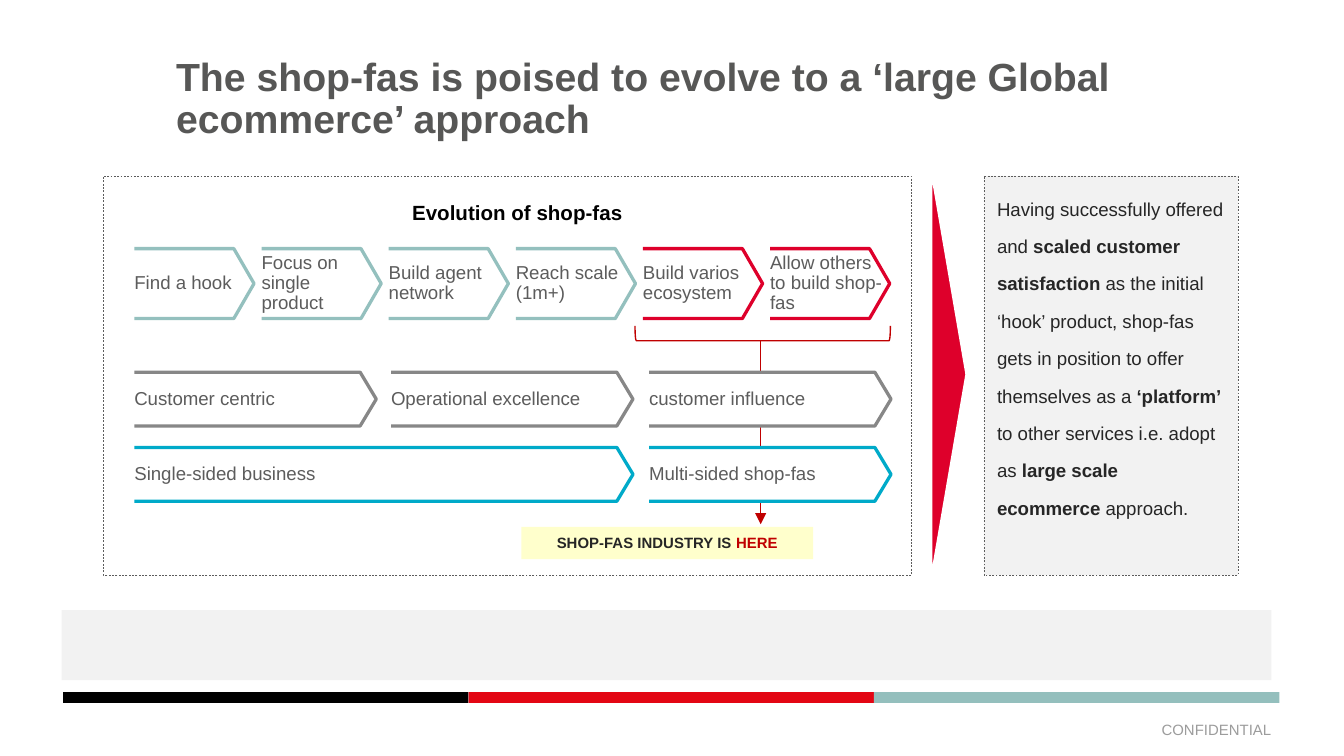
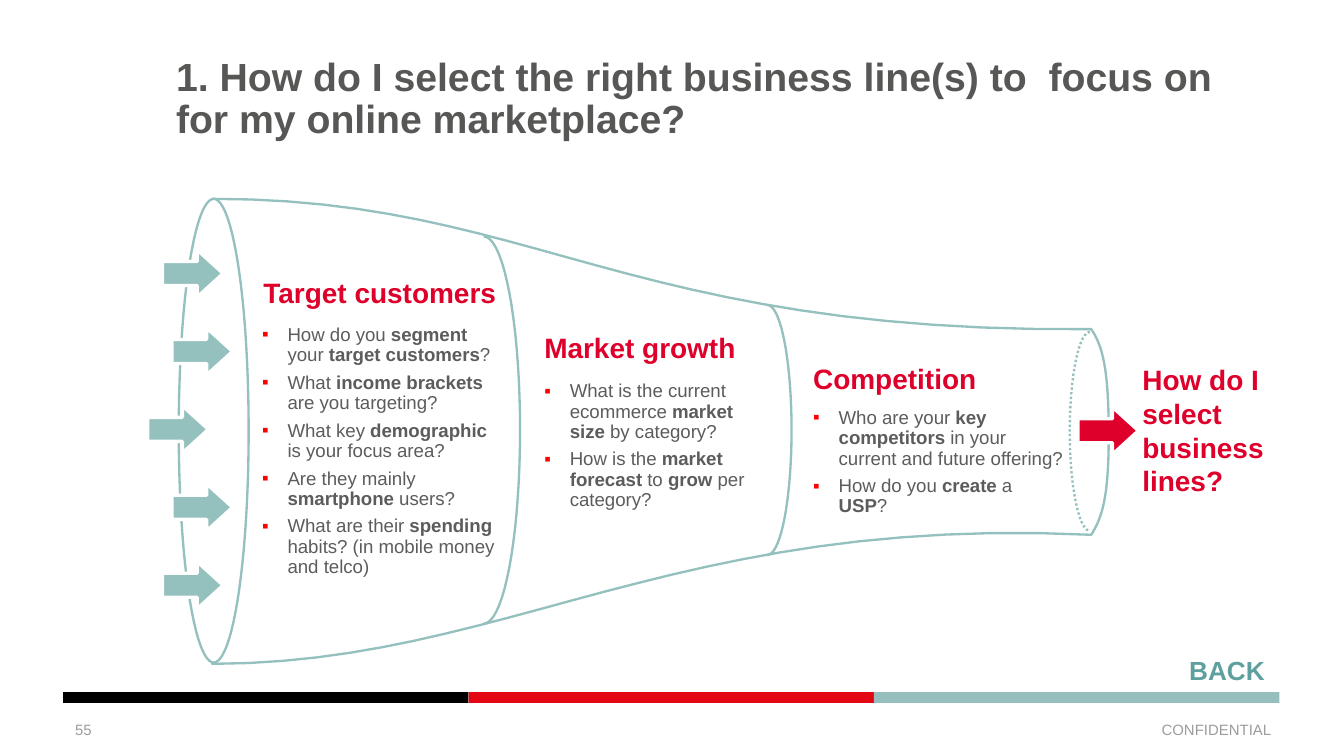
from dataclasses import dataclass, replace
from math import cos, pi, sin
from typing import Optional, Union

from lxml.etree import SubElement
from pptx import Presentation
from pptx.dml.color import RGBColor
from pptx.enum.dml import MSO_LINE
from pptx.enum.shapes import MSO_CONNECTOR, MSO_SHAPE
from pptx.enum.text import MSO_ANCHOR, MSO_AUTO_SIZE, PP_ALIGN
from pptx.oxml.ns import qn
from pptx.util import Inches, Pt

FONT = "Arial"
BLACK, WHITE, PALE = "000000", "FFFFFF", "F2F2F2"
TEAL, RED, GREY, BLUE = "94C0BE", "DE002B", "878787", "00AAC9"
BODY_GREY, DARK, MARK_RED, FOOTER_GREY = "5C5C5C", "262626", "C00000", "9C9C9C"

Point = tuple[float, float]


@dataclass(frozen=True)
class TextStyle:
    size: float
    color: str
    bold: bool = False
    align: PP_ALIGN = PP_ALIGN.LEFT
    spacing: Union[float, Pt] = 1.0
    bulleted: bool = False


@dataclass(frozen=True)
class Box:
    left: float
    top: float
    width: float
    height: float

    def lengths(self) -> tuple:
        return tuple(map(Inches, (self.left, self.top, self.width, self.height)))


@dataclass(frozen=True)
class Stage:
    """An open chevron holding a short label."""
    label: str
    box: Box
    tip: float
    color: str
    fill: Optional[str] = None


@dataclass(frozen=True)
class Topic:
    """A heading with its questions inside the funnel."""
    heading: str
    heading_box: Box
    questions: tuple[str, ...]
    questions_box: Box


TITLE = TextStyle(21, "575756", bold=True, spacing=0.9)
LABEL = TextStyle(10, BODY_GREY, spacing=0.9)
QUESTION = replace(LABEL, bulleted=True)
HEADING = TextStyle(15, RED, bold=True, spacing=0.9)
FOOTER = TextStyle(8, FOOTER_GREY)


def rgb(color: str) -> RGBColor:
    return RGBColor.from_string(color)


def paint(shape, fill=None, line=None, weight=1.0, dash=None) -> None:
    shape.shadow.inherit = False
    if fill:
        shape.fill.solid()
        shape.fill.fore_color.rgb = rgb(fill)
    else:
        shape.fill.background()
    if line:
        shape.line.color.rgb = rgb(line)
        shape.line.width = Pt(weight)
        if dash:
            shape.line.dash_style = dash
    else:
        shape.line.fill.background()


def add_bullet(paragraph) -> None:
    properties = paragraph._p.get_or_add_pPr()
    properties.set("marL", str(Inches(0.19)))
    properties.set("indent", str(-Inches(0.19)))
    color = SubElement(properties, qn("a:buClr"))
    SubElement(color, qn("a:srgbClr"), val="FF0000")
    SubElement(properties, qn("a:buFont"), typeface=FONT)
    SubElement(properties, qn("a:buChar"), char="▪")


def write(shape, lines, style: TextStyle, anchor=MSO_ANCHOR.TOP,
          inset: bool = False, wrap: bool = True) -> None:
    """Fill a shape with paragraphs; **double stars** mark bold words."""
    frame = shape.text_frame
    frame.word_wrap = wrap
    frame.auto_size = MSO_AUTO_SIZE.NONE
    frame.vertical_anchor = anchor
    if not inset:
        frame.margin_left = frame.margin_right = 0
        frame.margin_top = frame.margin_bottom = 0
    for position, line in enumerate(lines):
        paragraph = frame.add_paragraph() if position else frame.paragraphs[0]
        if style.bulleted:
            paragraph.level = 1
            add_bullet(paragraph)
            if position:
                paragraph.space_before = Pt(4)
        paragraph.alignment = style.align
        paragraph.line_spacing = style.spacing
        font = paragraph.font
        font.name, font.size, font.bold = FONT, Pt(style.size), style.bold
        font.color.rgb = rgb(style.color)
        for part, words in enumerate(line.split("**")):
            if words:
                run = paragraph.add_run()
                run.text = words
                if part % 2:
                    run.font.bold = True


def add_preset(slide, kind, box: Box, **look):
    shape = slide.shapes.add_shape(kind, *box.lengths())
    paint(shape, **look)
    return shape


def add_text(slide, box: Box, lines, style: TextStyle, **layout):
    text = slide.shapes.add_textbox(*box.lengths())
    write(text, lines, style, **layout)
    return text


def add_outline(slide, points: list[Point], closed: bool = False, **look):
    start, *rest = [(Inches(x), Inches(y)) for x, y in points]
    builder = slide.shapes.build_freeform(*start)
    builder.add_line_segments(rest, close=closed)
    shape = builder.convert_to_shape()
    paint(shape, **look)
    return shape


def add_stage(slide, stage: Stage) -> None:
    box = stage.box
    right, bottom = box.left + box.width, box.top + box.height
    shoulder = right - stage.tip
    points = [(box.left, box.top), (shoulder, box.top),
              (right, box.top + box.height / 2),
              (shoulder, bottom), (box.left, bottom)]
    chevron = add_outline(slide, points, fill=stage.fill, line=stage.color, weight=1.75)
    write(chevron, stage.label.split("\n"), LABEL, MSO_ANCHOR.MIDDLE)


def bezier(p0: Point, p1: Point, p2: Point, p3: Point, steps: int = 24) -> list[Point]:
    def at(t: float, axis: int) -> float:
        u = 1 - t
        return (u**3 * p0[axis] + 3 * u * u * t * p1[axis]
                + 3 * u * t * t * p2[axis] + t**3 * p3[axis])
    return [(at(i / steps, 0), at(i / steps, 1)) for i in range(steps + 1)]


def half_ellipse(x: float, y: float, bulge: float, half_height: float,
                 steps: int = 36) -> list[Point]:
    """Top-to-bottom arc, bulging right when bulge is positive."""
    angles = [pi * i / steps for i in range(steps + 1)]
    return [(x + bulge * sin(a), y - half_height * cos(a)) for a in angles]


def add_block_arrow(slide, left: float, middle: float, color: str) -> None:
    arrow = add_preset(slide, MSO_SHAPE.RIGHT_ARROW, Box(left, middle - 0.17, 0.45, 0.35),
                       fill=color, line=WHITE, weight=1.75)
    arrow.adjustments[0], arrow.adjustments[1] = 0.51, 0.55


def add_titled_slide(deck, title: str):
    slide = deck.slides.add_slide(deck.slide_layouts[5])
    heading = slide.shapes.title
    heading.left, heading.top, heading.width, heading.height = Box(
        1.31, 0.43, 8.09, 0.94).lengths()
    write(heading, [title], TITLE)
    return slide


def furnish_layout(slide) -> None:
    """Put the colour band and footer on the layout behind the slide."""
    layout = slide.slide_layout
    for placeholder in list(layout.placeholders)[1:]:
        layout.shapes.element.remove(placeholder.element)
    band_left, band_right = 0.47, 9.52
    third = (band_right - band_left) / 3
    shared = [add_preset(slide, MSO_SHAPE.RECTANGLE,
                         Box(band_left + third * i, 5.15, third, 0.08), fill=color)
              for i, color in enumerate((BLACK, "E30613", "94BFBD"))]
    shared.append(add_text(slide, Box(7.23, 5.28, 2.33, 0.3), ["CONFIDENTIAL"],
                           replace(FOOTER, align=PP_ALIGN.RIGHT),
                           anchor=MSO_ANCHOR.MIDDLE, inset=True))
    for part in shared:
        layout.shapes.element.append(part.element)


def build_evolution(slide) -> None:
    dashed = dict(line=BODY_GREY, weight=0.25, dash=MSO_LINE.DASH)
    add_preset(slide, MSO_SHAPE.RECTANGLE, Box(0.77, 1.31, 6.01, 2.97), **dashed)
    add_preset(slide, MSO_SHAPE.RECTANGLE, Box(0.46, 4.54, 9, 0.52), fill=PALE)

    here = add_preset(slide, MSO_SHAPE.RECTANGLE, Box(3.88, 3.92, 2.17, 0.24), fill="FFFFCC")
    write(here, ["SHOP-FAS INDUSTRY IS **HERE**"],
          TextStyle(8, DARK, bold=True, align=PP_ALIGN.CENTER), MSO_ANCHOR.MIDDLE, inset=True)
    here.text_frame.paragraphs[0].runs[1].font.color.rgb = rgb(MARK_RED)

    add_preset(slide, MSO_SHAPE.RECTANGLE, Box(7.32, 1.31, 1.89, 2.97), fill=PALE, **dashed)
    add_text(slide, Box(7.32, 1.31, 1.89, 2.59),
             ["Having successfully offered and **scaled customer satisfaction **as the "
              "initial ‘hook’ product, shop-fas gets in position to offer themselves as a "
              "**‘platform’** to other services i.e. adopt as **large scale ecommerce "
              "**approach."],
             TextStyle(10, DARK, spacing=Pt(20)), inset=True)

    pointer = add_preset(slide, MSO_SHAPE.ISOSCELES_TRIANGLE, Box(5.49, 2.65, 3.14, 0.27),
                         fill=RED, line=WHITE, weight=1.75)
    pointer.rotation = 90
    add_text(slide, Box(1, 1.52, 5.7, 0.15), ["Evolution of shop-fas"],
             TextStyle(11, BLACK, bold=True, align=PP_ALIGN.CENTER, spacing=0.8))

    steps = ["Find a hook", "Focus on single\nproduct", "Build agent network",
             "Reach scale (1m+)", "Build varios ecosystem", "Allow others to build shop-fas"]
    pitch = (6.62 - 1 - 0.89) / (len(steps) - 1)
    for i, label in enumerate(steps):
        add_stage(slide, Stage(label, Box(1 + pitch * i, 1.85, 0.89, 0.52), 0.15,
                               TEAL if i < 4 else RED))

    position = slide.shapes.add_connector(MSO_CONNECTOR.STRAIGHT, Inches(5.66), Inches(2.54),
                                          Inches(5.66), Inches(3.9))
    position.line.color.rgb = rgb(MARK_RED)
    position.line.width = Pt(0.75)
    SubElement(position.line._get_or_add_ln(), qn("a:tailEnd"), type="triangle")
    SubElement(position._element.spPr, qn("a:effectLst"))

    first, second, third = 1, 2.91, 4.83
    for label, left, top, width, color, fill in (
            ("Multi-sided shop-fas", third, 3.33, 1.8, BLUE, WHITE),
            ("Customer centric", first, 2.77, 1.8, GREY, None),
            ("Operational excellence", second, 2.77, 1.8, GREY, None),
            ("customer influence", third, 2.77, 1.8, GREY, WHITE),
            ("Single-sided business", first, 3.33, 3.71, BLUE, None)):
        add_stage(slide, Stage(label, Box(left, top, width, 0.4), 0.12, color, fill))

    bracket = add_preset(slide, MSO_SHAPE.LEFT_BRACKET, Box(5.62, 1.53, 0.11, 1.9),
                         line=MARK_RED, weight=0.75)
    bracket.rotation = 270


TOPICS = (
    Topic("Market growth", Box(4.05, 2.49, 1.74, 0.23),
          ("What is the current ecommerce **market size **by category?",
           "How is the **market forecast **to **grow **per category?"),
          Box(4.05, 2.84, 1.67, 0.96)),
    Topic("Competition", Box(6.05, 2.72, 2.13, 0.23),
          ("Who are your **key competitors **in your current and future offering?",
           "How do you **create** a **USP**?"),
          Box(6.05, 3.04, 1.88, 0.66)),
    Topic("Target customers", Box(1.96, 2.08, 2.09, 0.23),
          ("How do you **segment **your **target customers**?",
           "What **income brackets **are you targeting?",
           "What key **demographic **is your focus area?",
           "Are they mainly **smartphone **users?",
           "What are their **spending **habits? (in mobile money and telco)"),
          Box(1.95, 2.42, 1.74, 1.89)),
)


def build_funnel(slide) -> None:
    add_text(slide, Box(0.46, 5.28, 0.85, 0.3), ["55"], FOOTER,
             anchor=MSO_ANCHOR.MIDDLE, inset=True)

    wall = dict(line=TEAL, weight=1.25)
    body = (bezier((1.58, 1.48), (3.97, 1.48), (4.64, 2.48), (8.12, 2.45))
            + bezier((8.12, 2.45), (8.21, 2.58), (8.25, 2.77), (8.25, 3.24))[1:]
            + bezier((8.25, 3.24), (8.25, 3.71), (8.2, 3.85), (8.12, 3.98))[1:]
            + bezier((8.12, 3.98), (5.01, 3.83), (3.75, 4.94), (1.58, 4.94))[1:])
    add_outline(slide, body, closed=True, fill=WHITE, **wall)
    add_preset(slide, MSO_SHAPE.OVAL, Box(1.33, 1.48, 0.52, 3.45), fill=WHITE, **wall)
    add_outline(slide, half_ellipse(8.11, 3.21, -0.15, 0.74), fill=WHITE,
                dash=MSO_LINE.ROUND_DOT, **wall)
    for x, bulge, half_height in ((3.6, 0.27, 1.44), (5.71, 0.18, 0.93)):
        add_outline(slide, half_ellipse(x, 3.2, bulge, half_height), **wall)

    for topic in TOPICS:
        add_text(slide, topic.questions_box, topic.questions, QUESTION)
        add_text(slide, topic.heading_box, [topic.heading], HEADING)

    add_block_arrow(slide, 8.02, 3.2, RED)
    add_text(slide, Box(8.5, 2.7, 1.07, 1.01), ["How do I select business lines?"],
             replace(HEADING, spacing=1.0))
    for i, left in enumerate((1.21, 1.28, 1.1, 1.28, 1.21)):
        add_block_arrow(slide, left, 2.03 + 0.58 * i, TEAL)
    add_text(slide, Box(8.75, 4.82, 0.77, 0.34), ["BACK"],
             TextStyle(14, "5EA09E", bold=True), inset=True, wrap=False)


def main() -> None:
    deck = Presentation()
    deck.slide_width = Inches(10)
    deck.slide_height = int(deck.slide_width * 9 / 16)
    evolution = add_titled_slide(
        deck, "The shop-fas is poised to evolve to a ‘large Global ecommerce’ approach")
    furnish_layout(evolution)
    build_evolution(evolution)
    build_funnel(add_titled_slide(
        deck, "1. How do I select the right business line(s) to  focus on "
              "for my online marketplace?"))
    deck.save("out.pptx")


if __name__ == "__main__":
    main()
